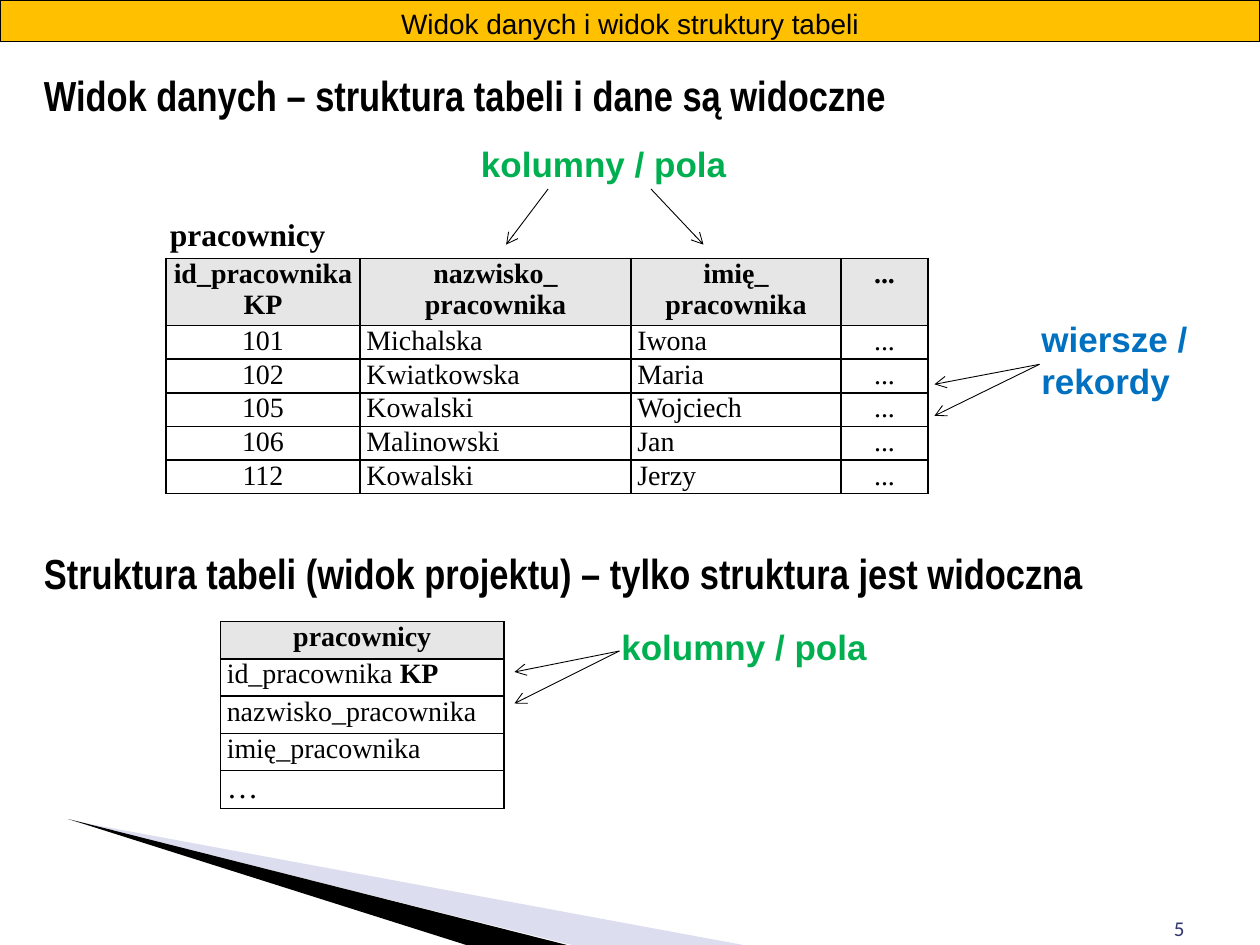
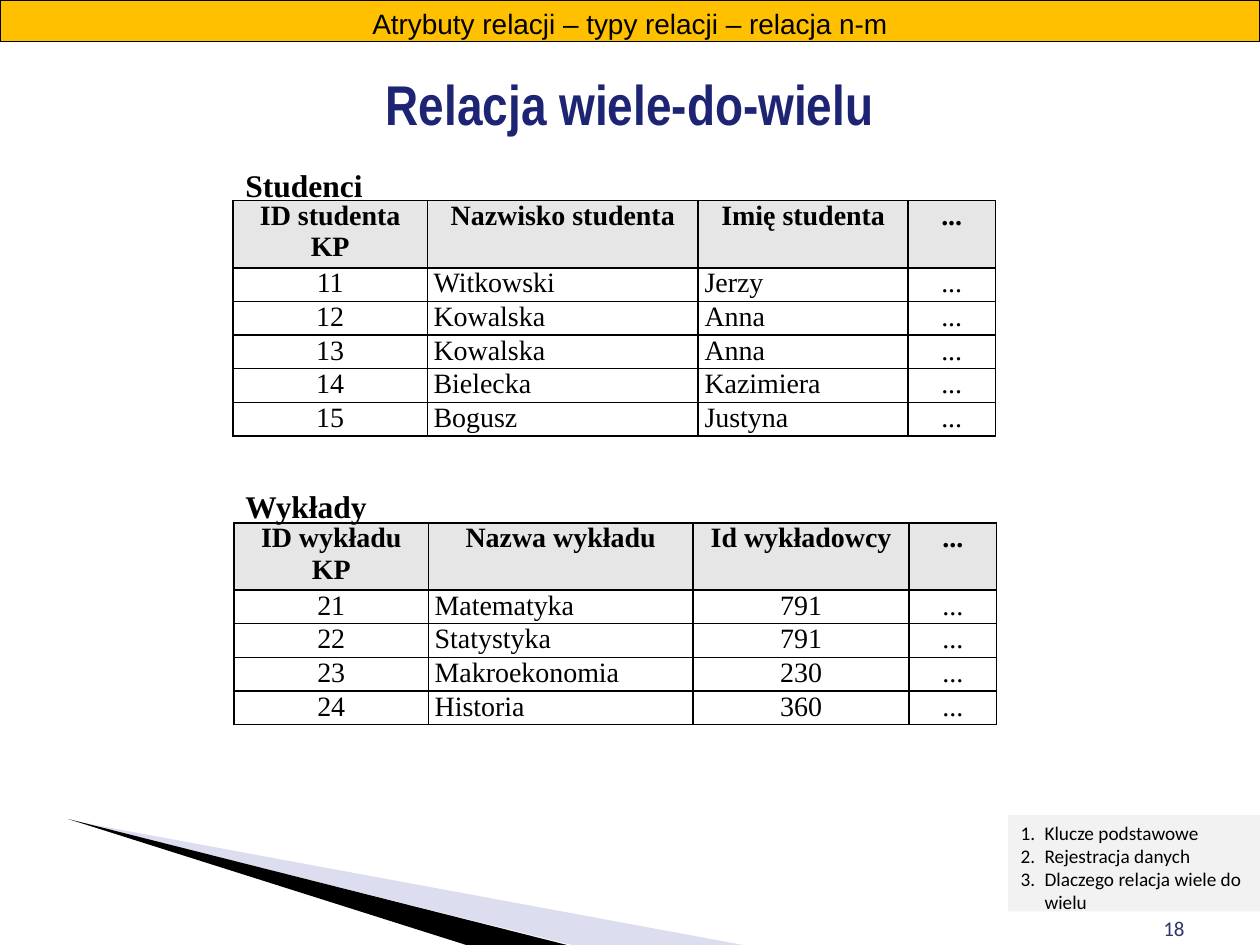
from lxml.etree import SubElement
from pptx import Presentation
from pptx.dml.color import RGBColor
from pptx.enum.shapes import MSO_CONNECTOR
from pptx.enum.text import MSO_ANCHOR, MSO_AUTO_SIZE, PP_ALIGN
from pptx.oxml.ns import qn
from pptx.util import Inches, Pt

COLORS = {
    "black": "000000", "band": "FFC000", "header": "E6E6E6", "list": "F2F2F2",
    "green": "00B050", "blue": "0070C0", "navy": "1D2474", "number": "30356E",
    "wedge": "A8ABD5",
}
RGB = {name: RGBColor.from_string(value) for name, value in COLORS.items()}
ALIGN = {"l": PP_ALIGN.LEFT, "c": PP_ALIGN.CENTER, "r": PP_ALIGN.RIGHT}
SERIF = "Times New Roman"

prs = Presentation()
prs.slide_width, prs.slide_height = Inches(10), Inches(7.5)
U = prs.slide_width / 120  # the slide is a grid of 120 columns and 90 rows
LINE = 3.2  # room for one line of table text


def write(tf, text, font="Arial", size=16, color="black", bold=False, align="l",
          anchor=MSO_ANCHOR.TOP, numbered=False):
    """Fill a text frame: one paragraph a line, **marked** parts in bold."""
    tf.word_wrap = True
    tf.vertical_anchor = anchor
    for i, line in enumerate(text.split("\n")):
        p = tf.paragraphs[0] if i == 0 else tf.add_paragraph()
        if numbered:
            pPr = p._p.get_or_add_pPr()
            pPr.set("marL", str(Inches(0.19)))
            pPr.set("indent", str(-Inches(0.19)))
            SubElement(pPr, qn("a:buFont"), typeface="+mj-lt")
            SubElement(pPr, qn("a:buAutoNum"), type="arabicPeriod")
        p.alignment = ALIGN[align]
        p.space_before = Pt(0)
        for j, part in enumerate(line.split("**")):
            if part:
                r = p.add_run()
                r.text = part
                r.font.name, r.font.size = font, Pt(size)
                r.font.bold = bold or j % 2 == 1
                r.font.color.rgb = RGB[color]


def add_grid(s, left, top, cols, rows, aligns, row_height=0):
    """Add a bordered table with a grey header; rows of height 0 fit their text."""
    height = row_height * len(rows) or LINE * (len(rows) + 1)
    box = [int(v * U) for v in (left, top, sum(cols), height)]
    frame = s.shapes.add_table(len(rows), len(cols), *box)
    table = frame.table
    table.first_row = table.horz_banding = False
    for column, width in zip(table.columns, cols):
        column.width = int(width * U)
    for i, row in enumerate(rows):
        table.rows[i].height = int(row_height * U)
        for j, text in enumerate(row):
            cell = table.cell(i, j)
            cell.margin_left = cell.margin_right = Inches(0.05)
            cell.margin_top = cell.margin_bottom = 0
            for side in ("lnL", "lnR", "lnT", "lnB"):
                ln = SubElement(cell._tc.get_or_add_tcPr(), qn(f"a:{side}"), w=str(Pt(1)))
                fill = SubElement(ln, qn("a:solidFill"))
                SubElement(fill, qn("a:srgbClr"), val=COLORS["black"])
            if i == 0:
                cell.fill.solid()
                cell.fill.fore_color.rgb = RGB["header"]
            else:
                cell.fill.background()
            write(cell.text_frame, text, font=SERIF, bold=i == 0,
                  size=18 if text == "…" else 16, align="c" if i == 0 else aligns[j])
    frame.height = int(height * U)


# Shared parts: wedges, page number and title band
WEDGES = [  # points in thousandths of the slide's width
    ("wedge", [(55, 651), (590, 750), (454, 750)]),
    ("black", [(54, 650), (450, 750), (370, 750)]),
]
PAGES = [
    (5, "5", "Widok danych i widok struktury tabeli"),
    (1, "18", "Atrybuty relacji – typy relacji – relacja n-m"),
]
slides = []
for layout, number, title in PAGES:
    s = prs.slides.add_slide(prs.slide_layouts[layout])
    slides.append(s)
    for color, points in WEDGES:
        builder = s.shapes.build_freeform(*points[0], scale=prs.slide_width / 1000)
        builder.add_line_segments(points[1:], close=True)
        sp = builder.convert_to_shape()
        sp.shadow.inherit = False
        sp.line.fill.background()
        sp.fill.solid()
        sp.fill.fore_color.rgb = RGB[color]
        if color == "wedge":
            clr = sp._element.spPr.find(qn("a:solidFill")).find(qn("a:srgbClr"))
            SubElement(clr, qn("a:alpha"), val="40000")

    sp = s.shapes.add_textbox(*[int(v * U) for v in (86, 84, 28, 6)])
    sp.text_frame.margin_bottom = Inches(0.03)
    write(sp.text_frame, number, font="Calibri", size=12, color="number", align="r",
          anchor=MSO_ANCHOR.BOTTOM)

    band = s.shapes.title
    band.left, band.top, band.width, band.height = 0, 0, prs.slide_width, int(3.95 * U)
    band.fill.solid()
    band.fill.fore_color.rgb = RGB["band"]
    band.line.color.rgb = RGB["black"]
    band.line.width = Pt(0.75)
    tf = band.text_frame
    tf.auto_size = MSO_AUTO_SIZE.NONE
    tf.margin_top, tf.margin_bottom = Inches(0.05), 0
    write(tf, title, align="c")

views, relation = slides

# Tables
PERSON_COLS = [18.5, 25.8, 20, 8.3]
add_grid(views, 15.8, 24.6, PERSON_COLS, [
    ("id_pracownika\nKP", "nazwisko_\npracownika", "imię_\npracownika", "..."),
    ("101", "Michalska", "Iwona", "..."),
    ("102", "Kwiatkowska", "Maria", "..."),
    ("105", "Kowalski", "Wojciech", "..."),
    ("106", "Malinowski", "Jan", "..."),
    ("112", "Kowalski", "Jerzy", "..."),
], "cllc")
add_grid(views, 21, 59.2, [27], [
    ("pracownicy",), ("id_pracownika **KP**",), ("nazwisko_pracownika",),
    ("imię_pracownika",), ("…",),
], "l", row_height=3.55)
add_grid(relation, 22.2, 19.1, PERSON_COLS, [
    ("ID studenta\nKP", "Nazwisko studenta", "Imię studenta", "..."),
    ("11", "Witkowski", "Jerzy", "..."),
    ("12", "Kowalska", "Anna", "..."),
    ("13", "Kowalska", "Anna", "..."),
    ("14", "Bielecka", "Kazimiera", "..."),
    ("15", "Bogusz", "Justyna", "..."),
], "cllc")
add_grid(relation, 22.3, 49.8, [18.5, 25.2, 20.6, 8.3], [
    ("ID wykładu\nKP", "Nazwa wykładu", "Id wykładowcy", "..."),
    ("21", "Matematyka", "791", "..."),
    ("22", "Statystyka", "791", "..."),
    ("23", "Makroekonomia", "230", "..."),
    ("24", "Historia", "360", "..."),
], "clcc")

# Arrows from the labels to columns and rows
ARROWS = [
    ((99, 34.7), (89, 36.6)), ((99, 34.7), (89, 39.6)),
    ((52.2, 18), (48.2, 23.3)), ((62, 18), (67, 23.3)),
    ((59, 62), (49, 64)), ((59, 62), (49, 67)),
]
for start, end in ARROWS:
    arrow = views.shapes.add_connector(
        MSO_CONNECTOR.STRAIGHT, *[int(v * U) for v in start + end])
    arrow.line.color.rgb = RGB["black"]
    arrow.line.width = Pt(0.5)
    SubElement(arrow.line._get_or_add_ln(), qn("a:tailEnd"), type="arrow")
    SubElement(arrow._element.spPr, qn("a:effectLst"))

# Headings, table names and labels
HEADING = dict(font="Arial Narrow", size=24, bold=True)
NAME = dict(font=SERIF, size=18, bold=True)
LABEL = dict(size=20, bold=True)
TEXTS = [
    (views, "Widok danych – struktura tabeli i dane są widoczne", (3, 6, 111, 6), HEADING),
    (views, "Struktura tabeli (widok projektu) – tylko struktura jest widoczna",
     (3, 51.6, 111, 6), HEADING),
    (views, "pracownicy", (15, 19.9, 22.7, 4.8), NAME),
    (views, "kolumny / pola", (43, 13, 29, 5), LABEL | dict(color="green", align="c")),
    (views, "kolumny / pola", (58, 59, 31, 5.8), LABEL | dict(color="green")),
    (views, "wiersze / rekordy", (98, 29.6, 17, 11.4), LABEL | dict(color="blue")),
    (relation, "Relacja wiele-do-wielu", (0, 6, 120, 7),
     HEADING | dict(size=32, color="navy", align="c")),
    (relation, "Studenci", (22.2, 15.2, 14.2, 4.8), NAME),
    (relation, "Wykłady", (22.2, 45.8, 14.2, 4.8), NAME),
]
for s, text, box, style in TEXTS:
    sp = s.shapes.add_textbox(*[int(v * U) for v in box])
    write(sp.text_frame, text, **style)

# Numbered list in the corner
topics = relation.placeholders[1]
topics.left, topics.top, topics.width, topics.height = [
    int(v * U) for v in (96, 77.6, 24, 9.2)]
topics.fill.solid()
topics.fill.fore_color.rgb = RGB["list"]
topics.text_frame.auto_size = MSO_AUTO_SIZE.NONE
write(topics.text_frame, "Klucze podstawowe\nRejestracja danych\nDlaczego relacja wiele do wielu",
      font="Calibri", size=11, numbered=True)

prs.save("out.pptx")
